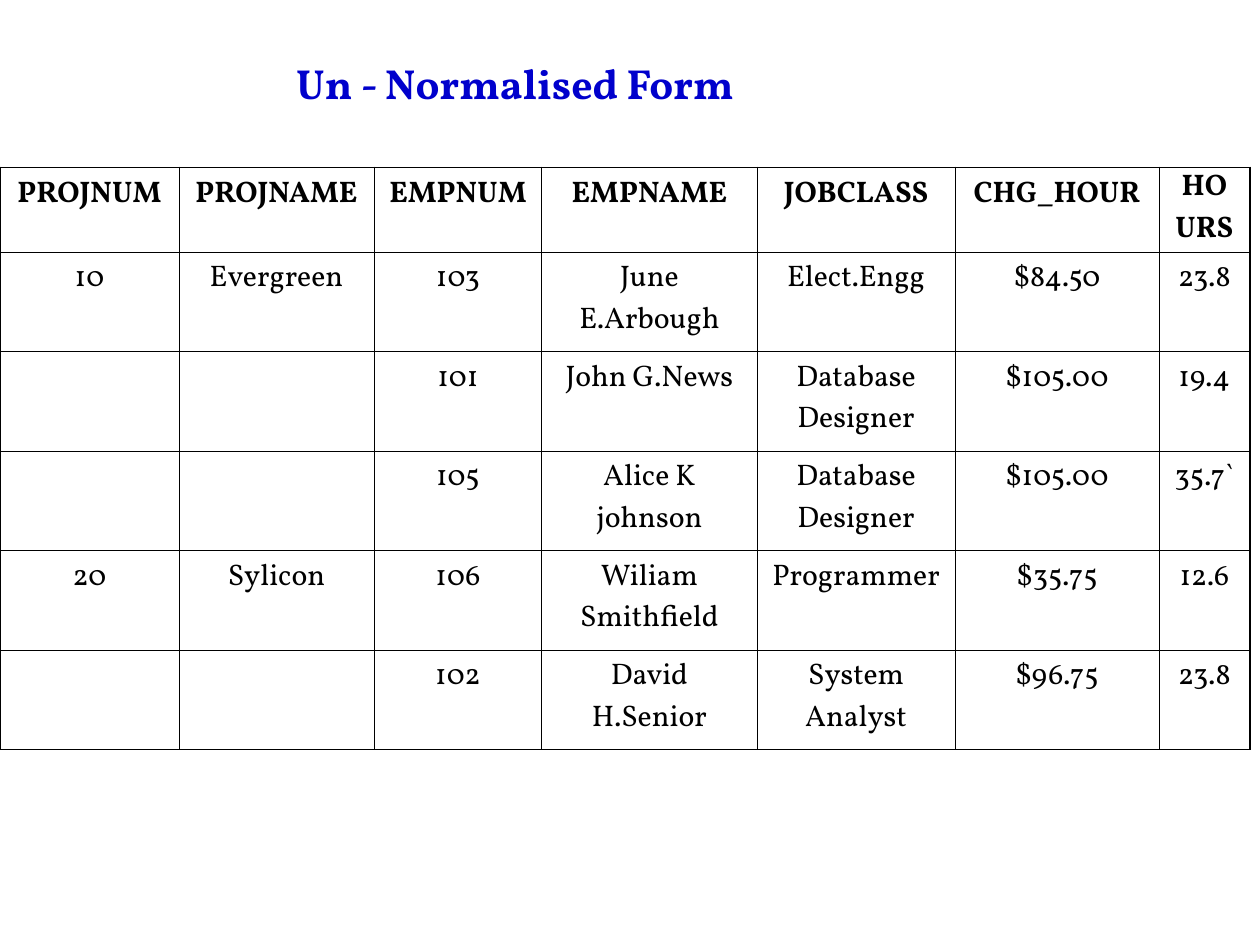
from lxml.etree import SubElement
from pptx import Presentation
from pptx.dml.color import RGBColor
from pptx.enum.text import MSO_ANCHOR, MSO_AUTO_SIZE, PP_ALIGN
from pptx.oxml.ns import qn
from pptx.util import Inches, Pt

FONT = "Vollkorn"
BLACK = "000000"
BLUE = "0000CC"
THIN, THICK = 0.45, 1.08
COLUMN_WIDTHS = [1.42, 1.55, 1.33, 1.71, 1.57, 1.62, 0.72]
HEADER_HEIGHT, BODY_HEIGHT = 0.67, 0.79
RECORDS = [
    ["PROJNUM", "PROJNAME", "EMPNUM", "EMPNAME", "JOBCLASS", "CHG_HOUR", "HOURS"],
    ["10", "Evergreen", "103", "June E.Arbough", "Elect.Engg", "$84.50", "23.8"],
    ["", "", "101", "John G.News", "Database Designer", "$105.00", "19.4"],
    ["", "", "105", "Alice K johnson", "Database Designer", "$105.00", "35.7`"],
    ["20", "Sylicon", "106", "Wiliam Smithfield", "Programmer", "$35.75", "12.6"],
    ["", "", "102", "David H.Senior", "System Analyst", "$96.75", "23.8"],
]


def color(value):
    """Turn a hex string into a colour."""
    return RGBColor.from_string(value)


def write_text(frame, text, size=17, bold=False, fill=BLACK, align=PP_ALIGN.CENTER, before=4.2):
    """Write one formatted paragraph into a text frame."""
    para = frame.paragraphs[0]
    para.alignment = align
    para.space_before = Pt(before)
    if text:
        span = para.add_run()
        span.text = text
        span.font.name = FONT
        span.font.size = Pt(size)
        span.font.bold = bold
        span.font.color.rgb = color(fill)


def set_borders(cell, widths):
    """Draw solid borders on a cell, given as widths by side."""
    properties = cell._tc.get_or_add_tcPr()
    for side in ("L", "R", "T", "B"):
        line = SubElement(properties, qn(f"a:ln{side}"), w=str(Pt(widths[side])))
        solid = SubElement(line, qn("a:solidFill"))
        SubElement(solid, qn("a:srgbClr"), val=BLACK)


def place_title(page, box):
    """Place the slide heading in its box."""
    title = page.shapes.title
    title.left, title.top, title.width, title.height = map(Inches, box)
    frame = title.text_frame
    frame.word_wrap = True
    frame.auto_size = MSO_AUTO_SIZE.NONE
    frame.vertical_anchor = MSO_ANCHOR.TOP
    write_text(frame, "Un - Normalised Form", size=24, bold=True, fill=BLUE,
               align=PP_ALIGN.LEFT, before=15)


def place_table(page, left, top):
    """Place the project records as a ruled table."""
    heights = [HEADER_HEIGHT] + [BODY_HEIGHT] * (len(RECORDS) - 1)
    last_row, last_column = len(heights) - 1, len(COLUMN_WIDTHS) - 1
    table = page.shapes.add_table(
        len(heights), len(COLUMN_WIDTHS), Inches(left), Inches(top),
        Inches(sum(COLUMN_WIDTHS)), Inches(sum(heights))).table
    table.first_row = table.horz_banding = False
    for column, width in zip(table.columns, COLUMN_WIDTHS):
        column.width = Inches(width)
    for row, height in zip(table.rows, heights):
        row.height = Inches(height)
    for row, record in enumerate(RECORDS):
        for column, text in enumerate(record):
            cell = table.cell(row, column)
            write_text(cell.text_frame, text, bold=row == 0)
            set_borders(cell, {
                "L": THICK if column == 0 else THIN,
                "R": THICK if column == last_column else THIN,
                "T": THICK if row == 0 else THIN,
                "B": THICK if row == last_row else THIN,
            })
            cell.fill.background()
    wrapped_heading = table.cell(0, last_column)
    wrapped_heading.margin_top = wrapped_heading.margin_bottom = 0


def main():
    """Build and save the deck."""
    deck = Presentation()
    deck.slide_width, deck.slide_height = Inches(10), Inches(7.5)
    page = deck.slides.add_slide(deck.slide_layouts[5])
    place_table(page, 0, 1.33)
    place_title(page, (2.25, 0.41, 5, 0.5))
    deck.save("out.pptx")


if __name__ == "__main__":
    main()
